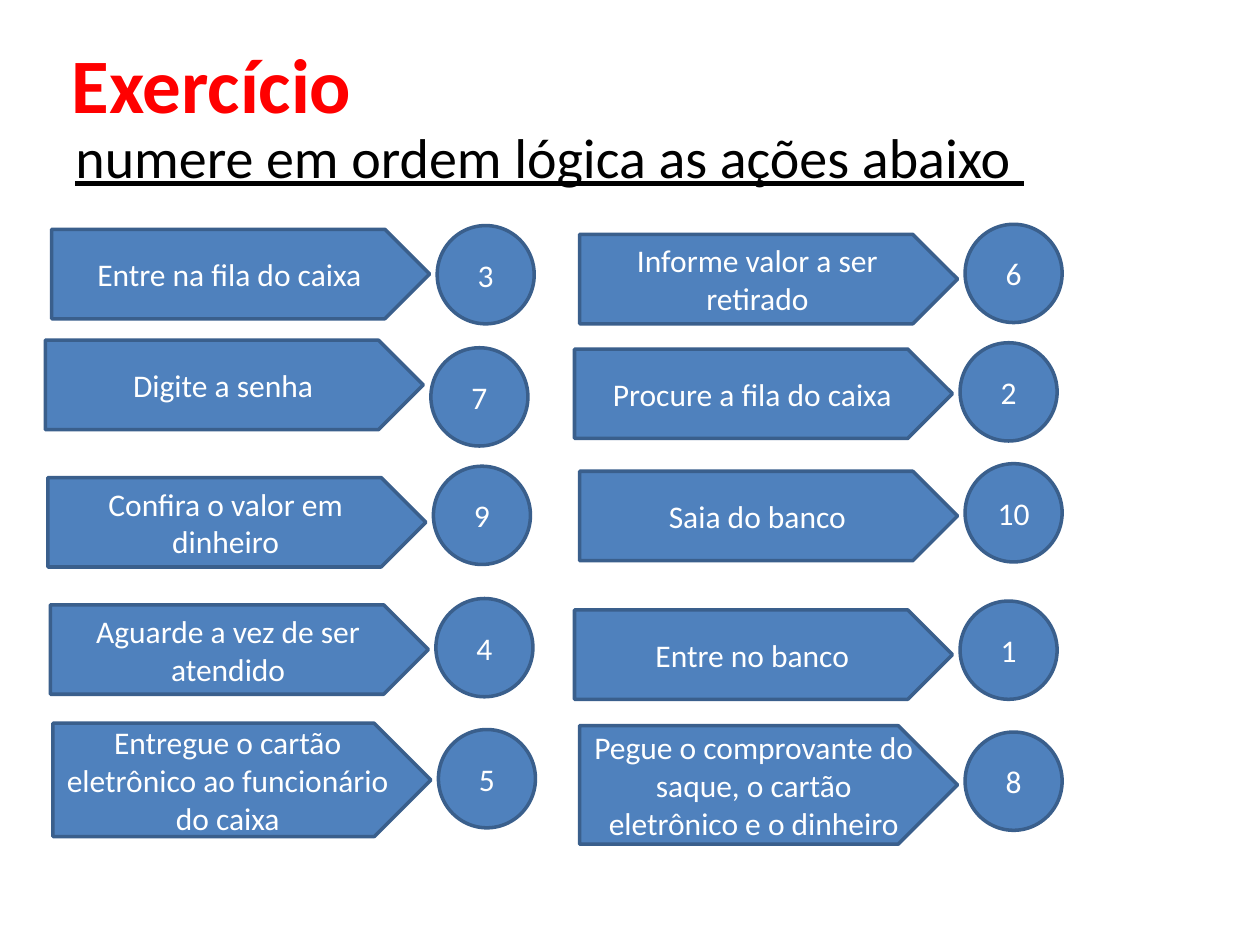
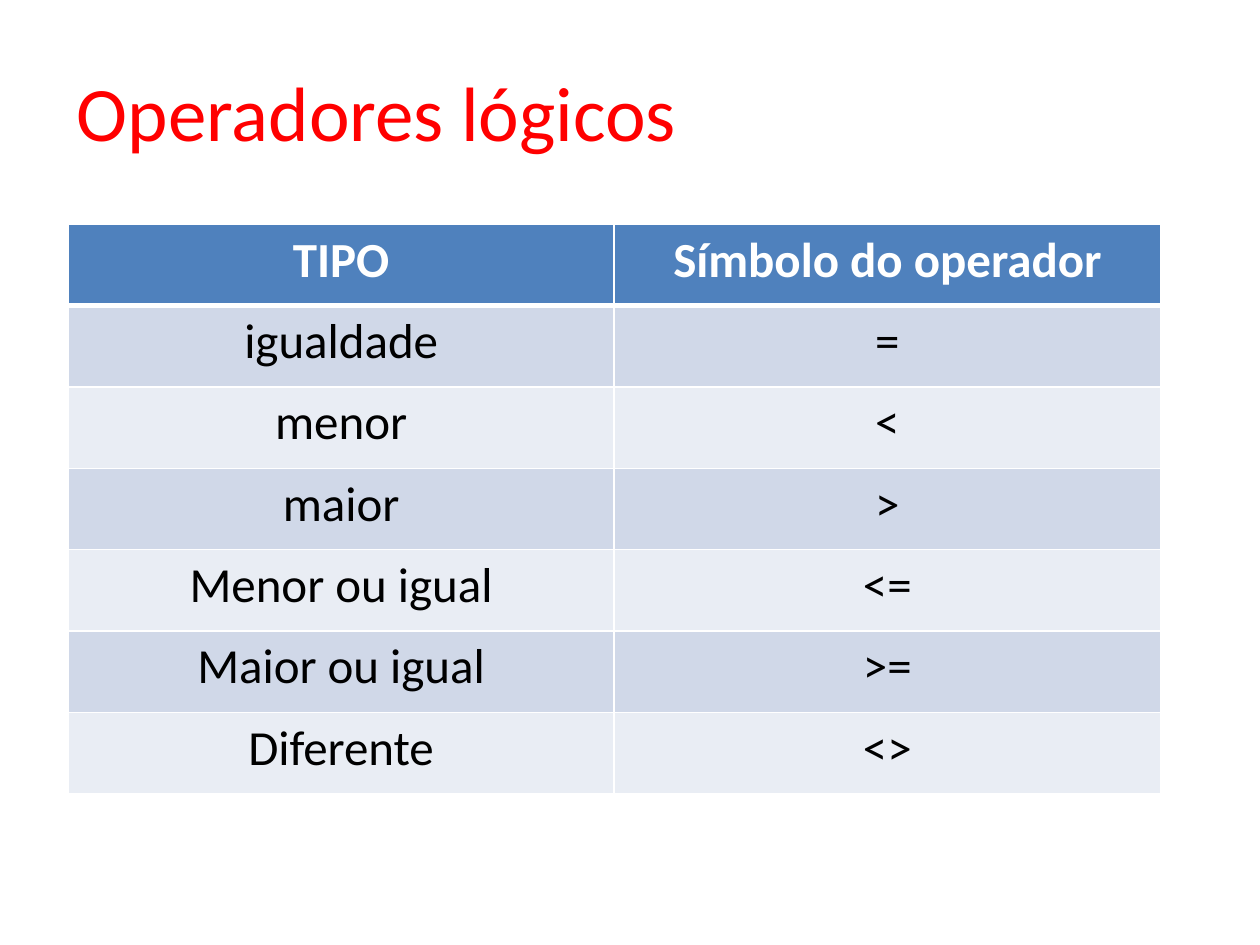
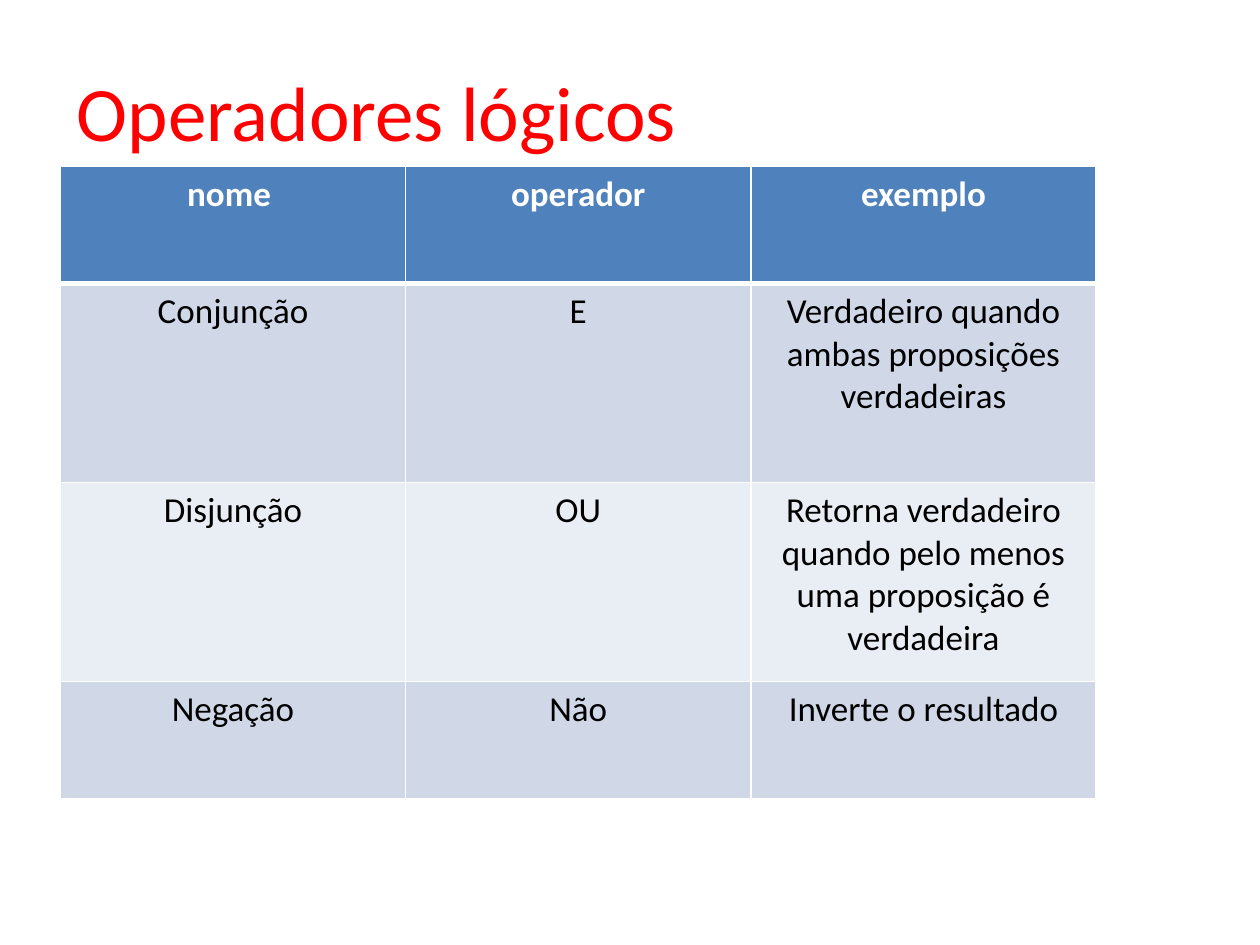
import pptx
import pptx.util
import pptx.dml.color
import pptx.enum.shapes
import pptx.enum.text
import pptx.oxml
import pptx.oxml.ns

COLS, ROWS = 100, 75
WIDTH, HEIGHT = pptx.util.Inches(10), pptx.util.Inches(7.5)
HUES = {"red": "FF0000", "blue": "4F81BD", "edge": "3A5F8C", "dark": "D0D8E8",
        "pale": "E9EDF4", "white": "FFFFFF", "black": "000000"}
ALIGN = pptx.enum.text.PP_ALIGN
ANCHOR = pptx.enum.text.MSO_ANCHOR
SHAPE = pptx.enum.shapes.MSO_SHAPE
HEAD = {"size": pptx.util.Pt(44), "bold": False}
TASK = {"size": pptx.util.Pt(32), "underline": True}
STEP = {"size": pptx.util.Pt(18)}

STEPS = [
    ("Entre no banco", 1, 3, -0.4, 1, 7.1, -0.7),
    ("Procure a fila do caixa", 1, 1, -0.4, -0.1, 7.1, -0.5),
    ("Entre na fila do caixa", 0, 0, 0.1, 0.2, 7.1, -0.3),
    ("Aguarde a vez de ser atendido", 0, 3, 0, 0.6, 7.1, -0.5),
    ("Entregue o cartão eletrônico ao funcionário do caixa", 0, 4, 0.2, 0.2, 9, 0.5),
    ("Informe valor a ser retirado", 1, 0, 0, 0.6, 7.1, -0.8),
    ("Digite a senha", 0, 1, -0.4, -0.8, 7.1, 0.6),
    ("Pegue o comprovante do saque, o cartão eletrônico e o dinheiro",
     1, 4, 0, 0.4, 9.4, 0.5),
    ("Confira o valor em dinheiro", 0, 2, -0.2, 0.3, 7.1, -0.9),
    ("Saia do banco", 1, 2, 0, -0.2, 7.1, -0.6),
]
SIGNS = [("TIPO", "Símbolo do operador"), ("igualdade", "="), ("menor", "<"),
         ("maior", ">"), ("Menor ou igual", "<="), ("Maior ou igual", ">="),
         ("Diferente", "<>")]
LOGIC = [
    ("nome ", "operador", "exemplo"),
    ("Conjunção", "E", "Verdadeiro quando ambas proposições verdadeiras"),
    ("Disjunção", "OU",
     "Retorna verdadeiro quando pelo menos uma proposição é verdadeira"),
    ("Negação", "Não", "Inverte o resultado"),
]


def hue(name):
    """Return the named colour."""
    return pptx.dml.color.RGBColor.from_string(HUES[name])


def place(box):
    """Turn a box in grid columns and rows into slide lengths."""
    units = (WIDTH / COLS, HEIGHT / ROWS) * 2
    return [round(part * unit) for part, unit in zip(box, units)]


def write(frame, text, form, color, align=ALIGN.LEFT):
    """Put one formatted paragraph into a text frame."""
    para = frame.paragraphs[0]
    para.alignment = align
    run = para.add_run()
    run.text = text
    for key, value in {"name": "Calibri", **form}.items():
        setattr(run.font, key, value)
    run.font.color.rgb = hue(color)
    return para


def start(deck, text, box, form=HEAD):
    """Add a title-only slide with its red title."""
    slide = deck.slides.add_slide(deck.slide_layouts[5])
    title = slide.shapes.title
    title.left, title.top, title.width, title.height = place(box)
    title.text_frame.vertical_anchor = ANCHOR.MIDDLE
    write(title.text_frame, text, form, "red")
    return slide


def block(group, kind, box, text):
    """Add a blue shape with centred white text."""
    shape = group.shapes.add_shape(kind, *place(box))
    shape.shadow.inherit = False
    shape.fill.solid()
    shape.fill.fore_color.rgb = hue("blue")
    shape.line.color.rgb = hue("edge")
    shape.line.width = pptx.util.Pt(2)
    shape.text_frame.word_wrap = True
    shape.text_frame.vertical_anchor = ANCHOR.MIDDLE
    write(shape.text_frame, text, STEP, "white", ALIGN.CENTER)


def steps(slide, box):
    """Lay out the numbered actions in two columns of five."""
    left, top, width, height = box
    for num, (text, col, row, dx, dy, tall, drop) in enumerate(STEPS, 1):
        x = left + col * width / 2 + dx
        y = top + row * height / 5 + dy
        group = slide.shapes.add_group_shape()
        block(group, SHAPE.PENTAGON, (x, y, 30, tall), text)
        block(group, SHAPE.OVAL, (x + 30.6, y + drop, 7.7, 7.8), str(num))


def edge(cell, side, points):
    """Draw one white border of a cell."""
    line = pptx.oxml.parse_xml(
        f'<a:ln{side} {pptx.oxml.ns.nsdecls("a")} w="{pptx.util.Pt(points)}">'
        f'<a:solidFill><a:srgbClr val="{HUES["white"]}"/></a:solidFill></a:ln{side}>')
    cell._tc.get_or_add_tcPr().append(line)


def grid(slide, box, data, tall, size):
    """Add a banded table with a blue head row."""
    count = len(data[0])
    table = slide.shapes.add_table(len(data), count, *place(box)).table
    for col in table.columns:
        col.width = round(place(box)[2] / count)
    for r, (texts, high) in enumerate(zip(data, tall)):
        table.rows[r].height = place((0, high))[1]
        fill = "blue" if r == 0 else "dark" if r % 2 else "pale"
        form = {"size": pptx.util.Pt(size), "bold": r == 0}
        for c, text in enumerate(texts):
            cell = table.cell(r, c)
            for side in "LRTB":
                edge(cell, side, 3 if (r, side) in ((0, "B"), (1, "T")) else 1)
            cell.fill.solid()
            cell.fill.fore_color.rgb = hue(fill)
            write(cell.text_frame, text, form, "black" if r else "white", ALIGN.CENTER)


def drill(deck):
    """Build the exercise slide."""
    slide = start(deck, "Exercício", (4.7, 0.3, 76.5, 12.5), {**HEAD, "bold": True})
    frame = slide.shapes.add_textbox(*place((5, 9.2, 90, 7.5))).text_frame
    frame.word_wrap = True
    para = write(frame, "numere em ordem lógica as ações abaixo ", TASK, "black")
    para.space_before = pptx.util.Pt(6.4)
    steps(slide, (4, 18, 84, 49))


def chart(deck, box, data, tall, size):
    """Build a slide with a table of operators."""
    slide = start(deck, "Operadores lógicos", (5.1, 2.5, 76.5, 12.5))
    grid(slide, box, data, tall, size)


def main():
    """Build and save the deck."""
    deck = pptx.Presentation()
    deck.slide_width, deck.slide_height = WIDTH, HEIGHT
    drill(deck)
    chart(deck, (5.4, 17.8, 86.7, 45.2), SIGNS, [45.2 / 7] * 7, 28)
    chart(deck, (4.8, 13.2, 82.2, 50.2), LOGIC, [9.3, 15.8, 15.8, 9.3], 20)
    deck.save("out.pptx")


if __name__ == "__main__":
    main()
